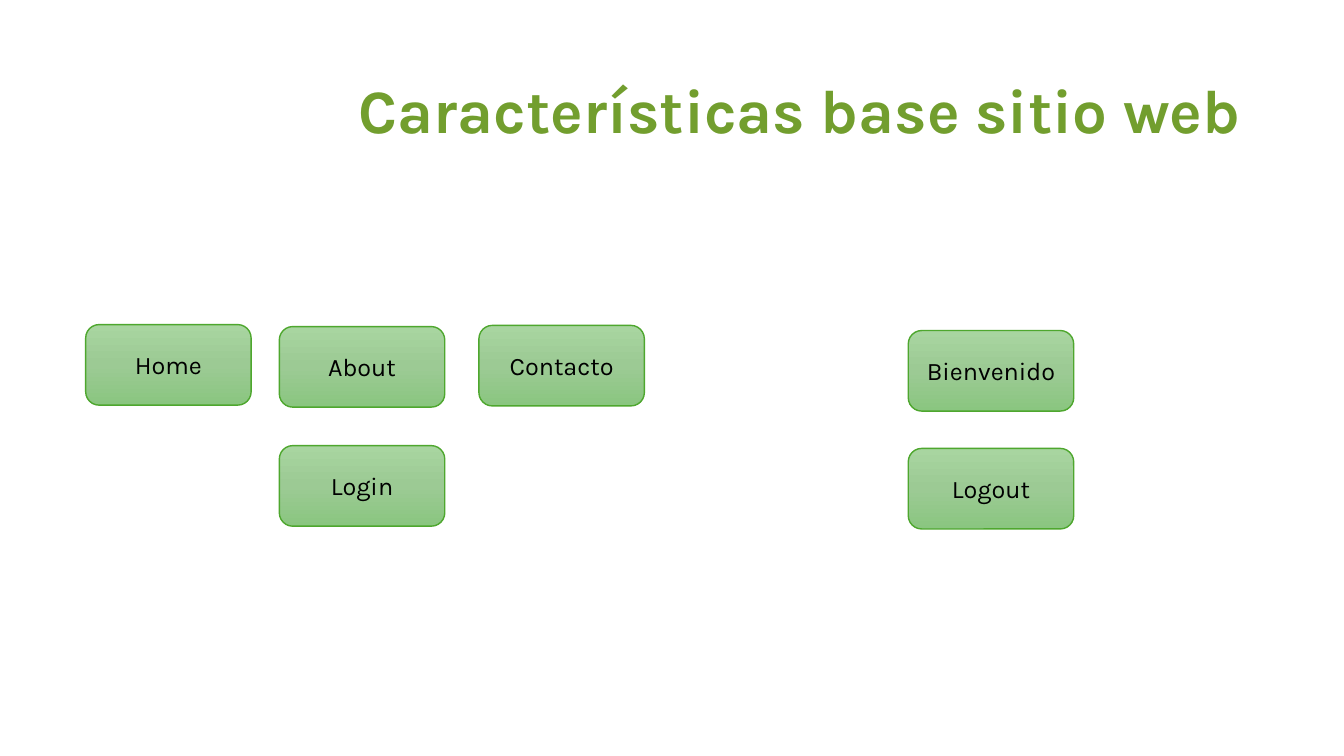
from copy import deepcopy

from pptx import Presentation
from pptx.dml.color import RGBColor
from pptx.enum.shapes import MSO_SHAPE
from pptx.enum.text import MSO_ANCHOR, PP_ALIGN
from pptx.oxml.ns import qn
from pptx.util import Cm, Pt

FONT = "Karla"
TITLE_GREEN = RGBColor(0x72, 0x9E, 0x2E)
BORDER_GREEN = RGBColor(0x4E, 0xA7, 0x2E)
BLACK = RGBColor(0x00, 0x00, 0x00)
GRADIENT = [
    (0, RGBColor(0xA8, 0xD5, 0xA0)),
    (0.5, RGBColor(0x9C, 0xCA, 0x94)),
    (1, RGBColor(0x8A, 0xC6, 0x80)),
]

prs = Presentation()
prs.slide_width, prs.slide_height = Cm(33.87), Cm(19.05)
slide = prs.slides.add_slide(prs.slide_layouts[5])

# Title
title = slide.shapes.title
title.left, title.top, title.width, title.height = Cm(2.33), Cm(1.01), Cm(29.21), Cm(3.68)
title.text_frame.text = "Características base sitio web"
title.text_frame.vertical_anchor = MSO_ANCHOR.MIDDLE
heading = title.text_frame.paragraphs[0]
heading.alignment = PP_ALIGN.RIGHT
heading.line_spacing = 0.9
heading.font.name = FONT
heading.font.size = Pt(44)
heading.font.bold = True
heading.font.color.rgb = TITLE_GREEN

# Site pages: label, left, top in cm
PAGE_WIDTH, PAGE_HEIGHT = Cm(4.17), Cm(2.03)
HOME_X, ABOUT_X, CONTACT_X, MEMBER_X = 2.16, 7.04, 12.07, 22.89
pages = [
    ("Home", HOME_X, 8.18),
    ("About", ABOUT_X, 8.23),
    ("Contacto", CONTACT_X, 8.2),
    ("Login", ABOUT_X, 11.23),
    ("Bienvenido", MEMBER_X, 8.33),
    ("Logout", MEMBER_X, 11.3),
]
for label, left, top in pages:
    page = slide.shapes.add_shape(
        MSO_SHAPE.ROUNDED_RECTANGLE, Cm(left), Cm(top), PAGE_WIDTH, PAGE_HEIGHT
    )
    page.shadow.inherit = False
    page.line.color.rgb = BORDER_GREEN
    page.line.width = Pt(1)

    # Vertical gradient with an added middle stop
    page.fill.gradient()
    page.fill.gradient_angle = 270
    first_stop = page._element.spPr.find(".//" + qn("a:gs"))
    first_stop.addnext(deepcopy(first_stop))
    for stop, (position, color) in zip(page.fill.gradient_stops, GRADIENT):
        stop.position = position
        stop.color.rgb = color

    page.text_frame.text = label
    page.text_frame.vertical_anchor = MSO_ANCHOR.MIDDLE
    caption = page.text_frame.paragraphs[0]
    caption.alignment = PP_ALIGN.CENTER
    caption.font.name = FONT
    caption.font.size = Pt(18)
    caption.font.color.rgb = BLACK

prs.save("out.pptx")
